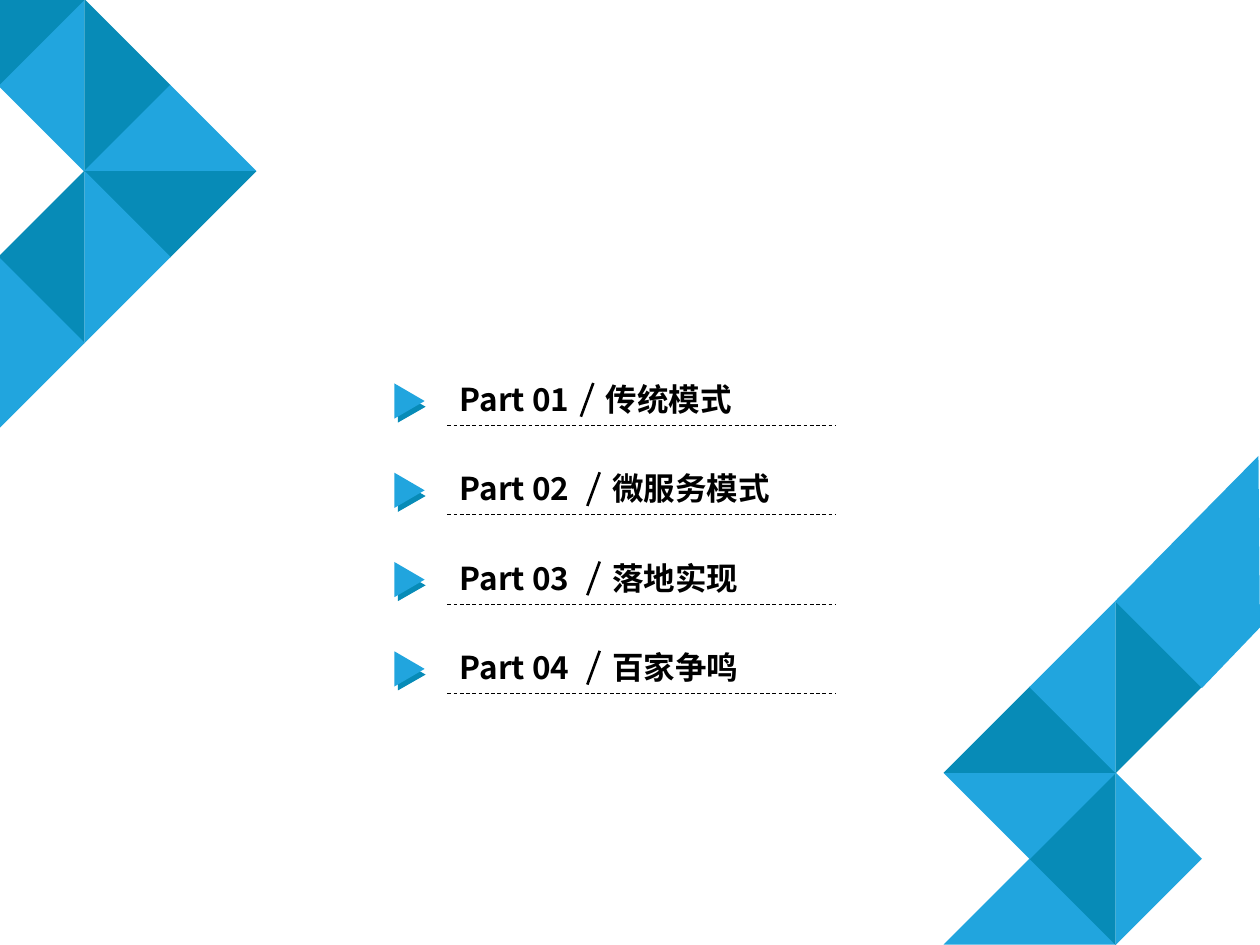
from lxml.etree import SubElement
from pptx import Presentation
from pptx.dml.color import RGBColor
from pptx.enum.dml import MSO_LINE
from pptx.enum.shapes import MSO_CONNECTOR, MSO_SHAPE
from pptx.enum.text import MSO_AUTO_SIZE
from pptx.oxml.ns import qn
from pptx.util import Cm, Pt

LIGHT = RGBColor(0x21, 0xA5, 0xDE)
DARK = RGBColor(0x07, 0x8B, 0xB7)
BLACK = RGBColor(0, 0, 0)
FONT = "Noto Sans CJK SC"
SIDE = 2.46  # short side of a mosaic triangle
STEP = 1.73  # mosaic grid pitch
PITCH = 1.8  # distance between agenda rows

deck = Presentation()
deck.slide_width, deck.slide_height = Cm(25.4), Cm(19.05)
slide = deck.slides.add_slide(deck.slide_layouts[6])
shapes = slide.shapes


def paint(shape, color, turn=0):
    shape.shadow.inherit = False
    shape.fill.solid()
    shape.fill.fore_color.rgb = color
    shape.line.fill.background()
    shape.rotation = turn


def draw_line(x1, y1, x2, y2, width):
    line = shapes.add_connector(
        MSO_CONNECTOR.STRAIGHT, Cm(x1), Cm(y1), Cm(x2), Cm(y2))
    line.line.color.rgb = BLACK
    line.line.width = Pt(width)
    SubElement(line._element.spPr, qn("a:effectLst"))
    return line


# Corner mosaics: grid origin, then column, row, rotation and colour
right = [(0, 3, 135, LIGHT), (1, 2, 45, DARK), (0, 1, 315, LIGHT),
         (0, 1, 135, DARK), (1, 0, 45, LIGHT), (1, 0, 225, DARK),
         (1, 2, 225, LIGHT)]
left = [(1, 1, 45, LIGHT), (1, 1, 225, DARK), (2, 2, 135, LIGHT),
        (2, 2, 315, DARK), (1, 3, 225, LIGHT), (1, 3, 45, DARK),
        (0, 4, 225, LIGHT), (0, 0, 315, DARK)]
for x, y, tiles in [(19.53, 12.62, right), (-1.26, -1.24, left)]:
    for col, row, turn, color in tiles:
        tile = shapes.add_shape(
            MSO_SHAPE.RIGHT_TRIANGLE, Cm(x + col * STEP), Cm(y + row * STEP),
            Cm(SIDE), Cm(SIDE))
        paint(tile, color, turn)

band = shapes.build_freeform(Cm(22.48), Cm(12.12), scale=1.0)
band.add_line_segments(
    [(Cm(25.37), Cm(9.19)), (Cm(25.4), Cm(12.65)), (Cm(24.23), Cm(13.87))])
paint(band.convert_to_shape(), LIGHT)

# Agenda rows: title and left edge of the title box
parts = [("传统模式", 11.96), ("微服务模式", 12.09),
         ("落地实现", 12.09), ("百家争鸣", 12.09)]
for i, (title, edge) in enumerate(parts):
    top = 7.54 + i * PITCH
    for text, x, width in [(f"Part {i + 1:02}", 9.02, 3.2),
                           (title, edge, 4.98)]:
        box = shapes.add_textbox(Cm(x), Cm(top), Cm(width), Cm(1.03))
        frame = box.text_frame
        frame.word_wrap = True
        frame.auto_size = MSO_AUTO_SIZE.SHAPE_TO_FIT_TEXT
        para = frame.paragraphs[0]
        para.text = text
        para.font.size = Pt(18)
        para.font.bold = True
        para.font.color.rgb = BLACK
        para.font.name = FONT
        props = para._p.pPr.find(qn("a:defRPr"))
        SubElement(props, qn("a:ea")).set("typeface", FONT)

    draw_line(edge - 0.25, top + 0.86, edge, top + 0.18, 1.5)
    rule = draw_line(9.02, top + 1.04, 16.84, top + 1.04, 0.5)
    rule.line.dash_style = MSO_LINE.DASH

    for x, y, width, height, color in [(7.98, 0.38, 0.64, 0.56, DARK),
                                       (7.9, 0.24, 0.71, 0.61, LIGHT)]:
        arrow = shapes.add_shape(
            MSO_SHAPE.ISOSCELES_TRIANGLE, Cm(x), Cm(top + y),
            Cm(width), Cm(height))
        paint(arrow, color, 90)

deck.save("out.pptx")
